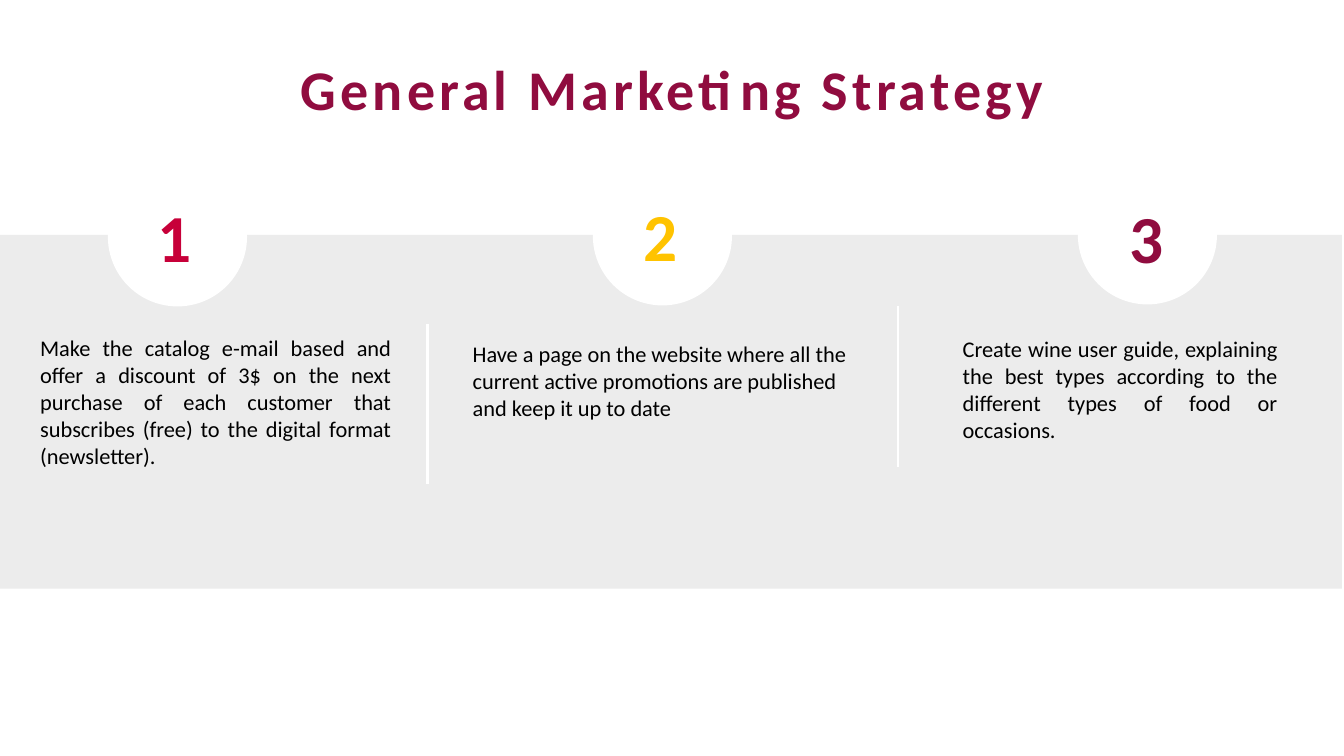
from dataclasses import dataclass
from pptx import Presentation
from pptx.dml.color import RGBColor as Rgb
from pptx.enum.shapes import MSO_CONNECTOR as Link, MSO_SHAPE as Kind
from pptx.enum.text import MSO_ANCHOR as Anchor, MSO_AUTO_SIZE as Fit, PP_ALIGN as Align
from pptx.oxml.ns import qn
from pptx.util import Inches, Pt


@dataclass(frozen=True)
class Theme:
    """Colours, font and type sizes of the slide."""
    font: str = "Calibri"
    white: str = "FFFFFF"
    band: str = "ECECEC"
    ink: str = "000000"
    red: str = "C70039"
    gold: str = "FFC300"
    wine: str = "900C3F"
    title: int = 40
    digit: int = 48
    body: int = 16


THEME = Theme()
DISC = 1.38
STEPS = [
    (THEME.red, (1.07, 1.66), (1.46, 2.04), (0.3, 3.27, 3.68, 1.84), Align.JUSTIFY,
     "Make the catalog e-mail based and offer a discount of 3$ on the next purchase "
     "of each customer that subscribes (free) to the digital format (newsletter)."),
    (THEME.gold, (5.88, 1.65), (6.28, 2.03), (4.59, 3.33, 3.97, 1.3), Align.LEFT,
     "Have a page on the website where all the current active promotions are "
     "published and keep it up to date"),
    (THEME.wine, (10.69, 1.64), (11.1, 2.05), (9.45, 3.28, 3.32, 1.18), Align.JUSTIFY,
     "Create wine user guide, explaining the best types according to the different "
     "types of food or occasions."),
]
RULES = [(4.24, 3.21), (8.91, 3.04)]


def add_form(slide, kind, box, fill):
    """Add a plain filled shape without line or shadow."""
    form = slide.shapes.add_shape(kind, *map(Inches, box))
    form.shadow.inherit = False
    form.fill.solid()
    form.fill.fore_color.rgb = Rgb.from_string(fill)
    form.line.fill.background()


def add_text(slide, box, text, size, color, align, bold=False):
    """Add a wrapped text box and return its frame."""
    frame = slide.shapes.add_textbox(*map(Inches, box)).text_frame
    frame.word_wrap = True
    frame.auto_size = Fit.SHAPE_TO_FIT_TEXT
    para = frame.paragraphs[0]
    para.text = text
    para.alignment = align
    font = para.font
    font.name, font.size, font.bold = THEME.font, Pt(size), bold
    font.color.rgb = Rgb.from_string(color)
    return frame


def add_title(slide, text):
    """Add the centred title with wide letter spacing."""
    frame = add_text(slide, (0.67, 0.49, 12, 0.77), text, THEME.title,
                     THEME.wine, Align.CENTER, True)
    run = frame.paragraphs[0].runs[0]
    run.font.bold = True
    run.font._element.set("spc", "300")


def add_digit(slide, spot, text, color):
    """Add a large step number centred in a box without margins."""
    frame = add_text(slide, (*spot, 0.55, 0.6), text, THEME.digit,
                     color, Align.CENTER, True)
    frame.auto_size = Fit.NONE
    frame.vertical_anchor = Anchor.MIDDLE
    frame.margin_left = frame.margin_right = 0
    frame.margin_top = frame.margin_bottom = 0


def add_rule(slide, left, top):
    """Add an upright white line between two steps."""
    ends = map(Inches, (left, top, left, top + 1.59))
    rule = slide.shapes.add_connector(Link.STRAIGHT, *ends)
    rule.line.color.rgb = Rgb.from_string(THEME.white)
    rule.line.width = Pt(1.5)
    props = rule._element.spPr
    props.append(props.makeelement(qn("a:effectLst"), {}))


def add_step(slide, num, color, disc, spot, box, align, text):
    """Add one step: its disc, number and text."""
    add_form(slide, Kind.OVAL, (*disc, DISC, DISC), THEME.white)
    add_digit(slide, spot, str(num), color)
    frame = add_text(slide, box, text, THEME.body, THEME.ink, align)
    frame.paragraphs[0].space_before = Pt(9)


def main():
    """Build the slide and save it."""
    deck = Presentation()
    deck.slide_width, deck.slide_height = Inches(13.33), Inches(7.5)
    slide = deck.slides.add_slide(deck.slide_layouts[6])
    add_form(slide, Kind.RECTANGLE, (0, 2.33, 13.31, 3.51), THEME.band)
    for spot in RULES:
        add_rule(slide, *spot)
    for num, step in enumerate(STEPS, 1):
        add_step(slide, num, *step)
    add_title(slide, "General Marketing Strategy")
    deck.save("out.pptx")


main()
